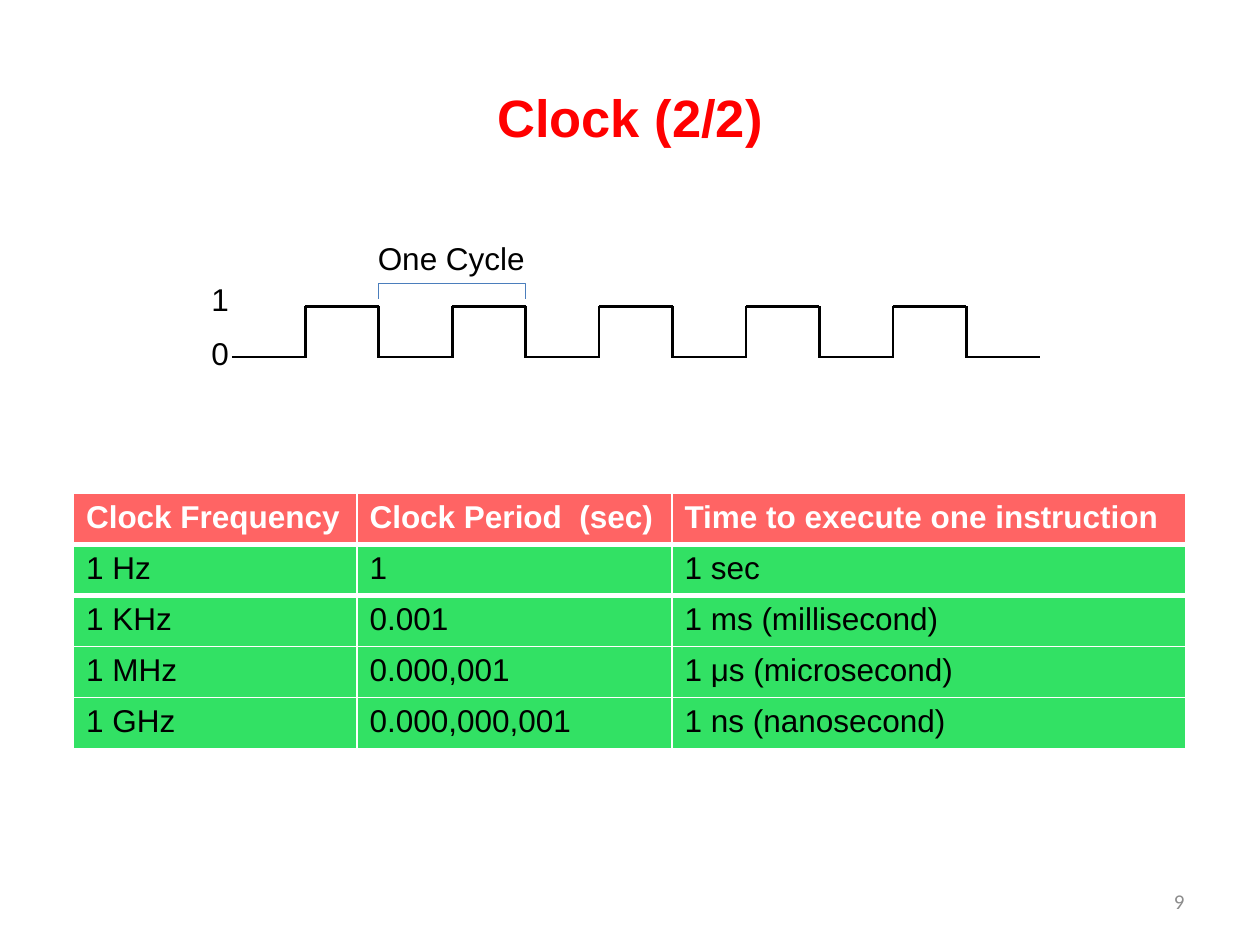
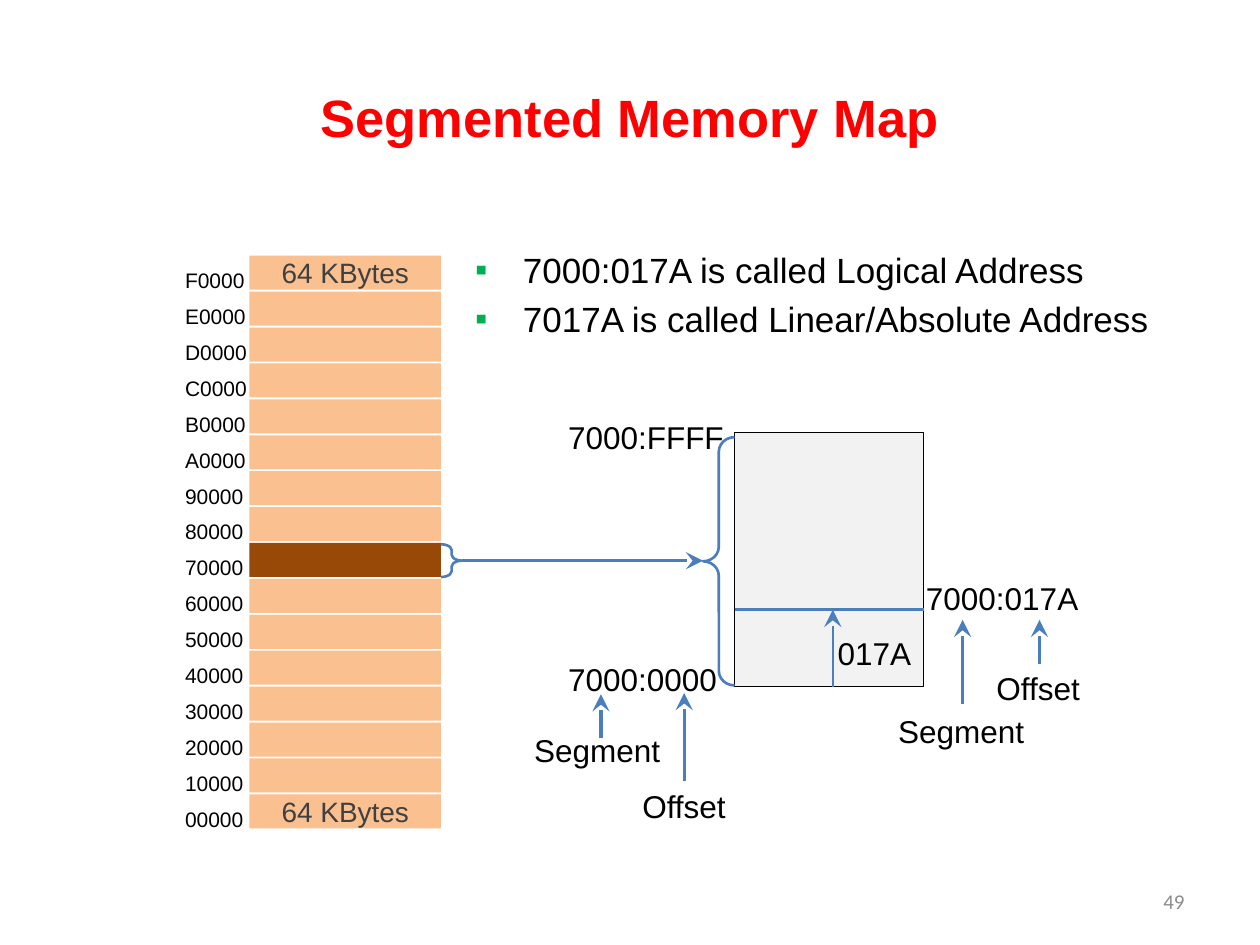
from lxml import etree
from pptx import Presentation
from pptx import util as u
from pptx.dml.color import RGBColor
from pptx.enum import shapes, text
from pptx.oxml import ns

# Colours
RED = RGBColor(0xFF, 0x00, 0x00)
BLACK = RGBColor(0x00, 0x00, 0x00)
WHITE = RGBColor(0xFF, 0xFF, 0xFF)
GREY = RGBColor(0x8C, 0x8C, 0x8C)
DARK_GREY = RGBColor(0x40, 0x40, 0x40)
PALE_GREY = RGBColor(0xF2, 0xF2, 0xF2)
BLUE = RGBColor(0x4B, 0x7E, 0xBC)
GREEN = RGBColor(0x00, 0xB0, 0x50)
HEAD_ROW = RGBColor(0xFF, 0x64, 0x64)
BODY_ROW = RGBColor(0x32, 0xE1, 0x64)
PEACH = RGBColor(0xFA, 0xC0, 0x90)
BROWN = RGBColor(0x98, 0x48, 0x07)

COLS, ROWS = 100, 75  # grid over the whole slide
SHAPE = shapes.MSO_SHAPE
ALIGN = text.PP_ALIGN


def sub(parent, tag, **attrs):
    return etree.SubElement(parent, ns.qn(tag), **attrs)


class Deck:
    """Holds the style and the current slide; lengths are grid columns and rows."""

    def __init__(self):
        self.prs = Presentation()
        self.prs.slide_width, self.prs.slide_height = u.Inches(10), u.Inches(7.5)
        self.col = self.prs.slide_width / COLS
        self.row = self.prs.slide_height / ROWS

    def grid(self, *lengths):
        """Turn alternating columns and rows into slide units."""
        return [round(n * (self.row if i % 2 else self.col))
                for i, n in enumerate(lengths)]

    def format(self, p, size, color, bold=False, font="Arial"):
        for r in p.runs:
            r.font.name, r.font.size, r.font.bold = font, u.Pt(size), bold
            r.font.color.rgb = color

    def slide(self, layout, title, number):
        self.s = self.prs.slides.add_slide(self.prs.slide_layouts[layout])
        sp = self.s.shapes.title
        sp.left, sp.top, sp.width, sp.height = self.grid(5, 3, 90, 12.5)
        sp.text_frame.text = title
        self.format(sp.text_frame.paragraphs[0], 30, RED, bold=True)
        # Slide number
        sp = self.s.shapes.add_textbox(*self.grid(71.7, 69.5, 23.3, 4))
        tf = sp.text_frame
        tf.text, tf.vertical_anchor = str(number), text.MSO_ANCHOR.MIDDLE
        tf.paragraphs[0].alignment = ALIGN.RIGHT
        self.format(tf.paragraphs[0], 12, GREY, font="Calibri")

    def bullets(self, lines, x, y, w, h):
        sp = self.s.placeholders[1]
        sp.left, sp.top, sp.width, sp.height = self.grid(x, y, w, h)
        tf = sp.text_frame
        tf.text = "\n".join(lines)
        tf.auto_size = text.MSO_AUTO_SIZE.NONE
        for p in tf.paragraphs:
            self.format(p, 20, BLACK)
            pPr = p._p.get_or_add_pPr()
            indent = u.Inches(0.38)
            pPr.set("marL", str(indent))
            pPr.set("indent", str(-indent))
            sub(sub(pPr, "a:buClr"), "a:srgbClr", val=str(GREEN))
            sub(pPr, "a:buFont", typeface="Arial")
            sub(pPr, "a:buChar", char="▪")

    def label(self, words, x, y, w, size=18):
        sp = self.s.shapes.add_textbox(*self.grid(x, y, w, 4 if size > 12 else 3))
        tf = sp.text_frame
        tf.text, tf.word_wrap = words, False
        tf.auto_size = text.MSO_AUTO_SIZE.SHAPE_TO_FIT_TEXT
        self.format(tf.paragraphs[0], size, BLACK)

    def shape(self, kind, x, y, w, h, fill=None, line=None, weight=1.5,
              words="", bend=None):
        sp = self.s.shapes.add_shape(kind, *self.grid(x, y, w, h))
        sp.shadow.inherit = False
        if fill is None:
            sp.fill.background()
        else:
            sp.fill.solid()
            sp.fill.fore_color.rgb = fill
        if line is None:
            sp.line.fill.background()
        else:
            sp.line.color.rgb, sp.line.width = line, u.Pt(weight)
        if bend is not None:
            sp.adjustments[0] = bend
        if words:
            tf = sp.text_frame
            tf.text, tf.vertical_anchor = words, text.MSO_ANCHOR.MIDDLE
            tf.paragraphs[0].alignment = ALIGN.CENTER
            self.format(tf.paragraphs[0], 16, DARK_GREY)

    def line(self, x1, y1, x2, y2, color=BLUE, weight=1.75, arrow=False, elbow=None):
        kind = shapes.MSO_CONNECTOR.STRAIGHT if elbow is None else shapes.MSO_CONNECTOR.ELBOW
        s = self.s.shapes.add_connector(kind, *self.grid(x1, y1, x2, y2))
        s.line.color.rgb, s.line.width = color, u.Pt(weight)
        spPr = s._element.spPr
        if arrow:
            sub(spPr.find(ns.qn("a:ln")), "a:tailEnd", type="stealth", w="lg", len="lg")
        if elbow is not None:
            guides = spPr.find(ns.qn("a:prstGeom")).find(ns.qn("a:avLst"))
            sub(guides, "a:gd", name="adj1", fmla=f"val {elbow}")
        sub(spPr, "a:effectLst")

    def border(self, cell, side, weight):
        tcPr = cell._tc.get_or_add_tcPr()
        ln = sub(tcPr, side, w=str(u.Pt(weight)))
        sub(sub(ln, "a:solidFill"), "a:srgbClr", val=str(WHITE))
        tcPr.insert(0, ln)  # borders come before the fill

    def table(self, rows, x, y, widths, row_height):
        box = self.grid(x, y, sum(widths), row_height * len(rows))
        table = self.s.shapes.add_table(len(rows), len(widths), *box).table
        table.horz_banding = False
        for column, w in zip(table.columns, widths):
            column.width = round(w * self.col)
        for i, row in enumerate(rows):
            head = i == 0
            for j, words in enumerate(row):
                cell = table.cell(i, j)
                cell.text_frame.text = words
                cell.fill.solid()
                cell.fill.fore_color.rgb = HEAD_ROW if head else BODY_ROW
                self.format(cell.text_frame.paragraphs[0], 18,
                            WHITE if head else BLACK, bold=head)
                # Thick rule between the head and the first row
                if i < 2:
                    self.border(cell, "a:lnB" if head else "a:lnT", 3)


def clock(deck):
    deck.slide(5, "Clock (2/2)", 9)

    # Square wave: low and high halves in turn, joined by edges
    left, half, high, low = 18.4, 5.83, 24.35, 28.35
    for i in range(11):
        x = left + i * half
        level = high if i % 2 else low
        deck.line(x, level, x + half, level, BLACK, 1.5)
        if i:
            deck.line(x, high - 0.05, x, low + 0.05, BLACK, 1.5)
    deck.label("1", 15.8, 21.7, 3.4)
    deck.label("0", 15.8, 26, 3.4)

    # Bracket over one cycle
    start, end, middle = left + 2 * half, left + 4 * half, 35
    deck.line(start, 23.7, middle, 22.5, weight=0.75, elbow=0)
    deck.line(middle, 22.5, end, 23.7, weight=0.75, elbow=100000)
    deck.label("One Cycle", 29, 18.5, 13.8)

    deck.table([
        ("Clock Frequency", "Clock Period  (sec)", "Time to execute one instruction"),
        ("1 Hz", "1", "1 sec"),
        ("1 KHz", "0.001", "1 ms (millisecond)"),
        ("1 MHz", "0.000,001", "1 μs (microsecond)"),
        ("1 GHz", "0.000,000,001", "1 ns (nanosecond)"),
    ], 5.83, 39.17, (22.5, 25, 40.8), 4.05)


def memory_map(deck):
    deck.slide(1, "Segmented Memory Map", 49)
    deck.bullets(["7000:017A is called Logical Address",
                  "7017A is called Linear/Absolute Address"], 36.7, 19.2, 56.7, 9.2)

    # Sixteen segments, highest address on top
    pitch = 2.85
    for i, digit in enumerate("FEDCBA9876543210"):
        deck.shape(SHAPE.RECTANGLE, 19.8, 20.3 + i * pitch, 15.2, 2.7,
                   BROWN if digit == "7" else PEACH,
                   words="64 KBytes" if digit in "F0" else "")
        deck.label(digit + "0000", 13.7, 20.75 + i * pitch, 7.2, size=12)

    # Segment 7000 enlarged
    deck.shape(SHAPE.RECTANGLE, 58.3, 34.3, 15, 20.2, PALE_GREY, BLACK, 0.25)
    deck.shape(SHAPE.RIGHT_BRACE, 35, 43.2, 1.7, 2.6, line=BLUE, bend=0.27)
    deck.shape(SHAPE.LEFT_BRACE, 55.8, 34.7, 2.5, 19.7, line=BLUE, bend=0.46)
    deck.line(36.7, 44.5, 55.8, 44.5, arrow=True)
    deck.line(58.3, 48.4, 73.3, 48.4)
    deck.line(66.1, 54.5, 66.1, 48.4, weight=1.5, arrow=True)

    # Address labels
    for words, x, y, w in [
        ("7000:FFFF", 44.1, 32.7, 14.5), ("7000:0000", 44.1, 51.9, 13.9),
        ("7000:017A", 72.5, 45.5, 14.2), ("017A", 65.5, 49.8, 7.9),
        ("Segment", 41.4, 57.5, 12.1), ("Offset", 50, 62, 8.7),
        ("Segment", 70.3, 56, 12.1), ("Offset", 78.1, 52.6, 8.7),
    ]:
        deck.label(words, x, y, w)

    # Arrows up to the parts of each address
    for x, bottom, top in [(47.7, 58.6, 55.1), (54.3, 62, 55),
                           (76.4, 55.9, 49.2), (82.5, 52.7, 49.2)]:
        deck.line(x, bottom, x, top, arrow=True)


def main():
    deck = Deck()
    clock(deck)
    memory_map(deck)
    deck.prs.save("out.pptx")


if __name__ == "__main__":
    main()
